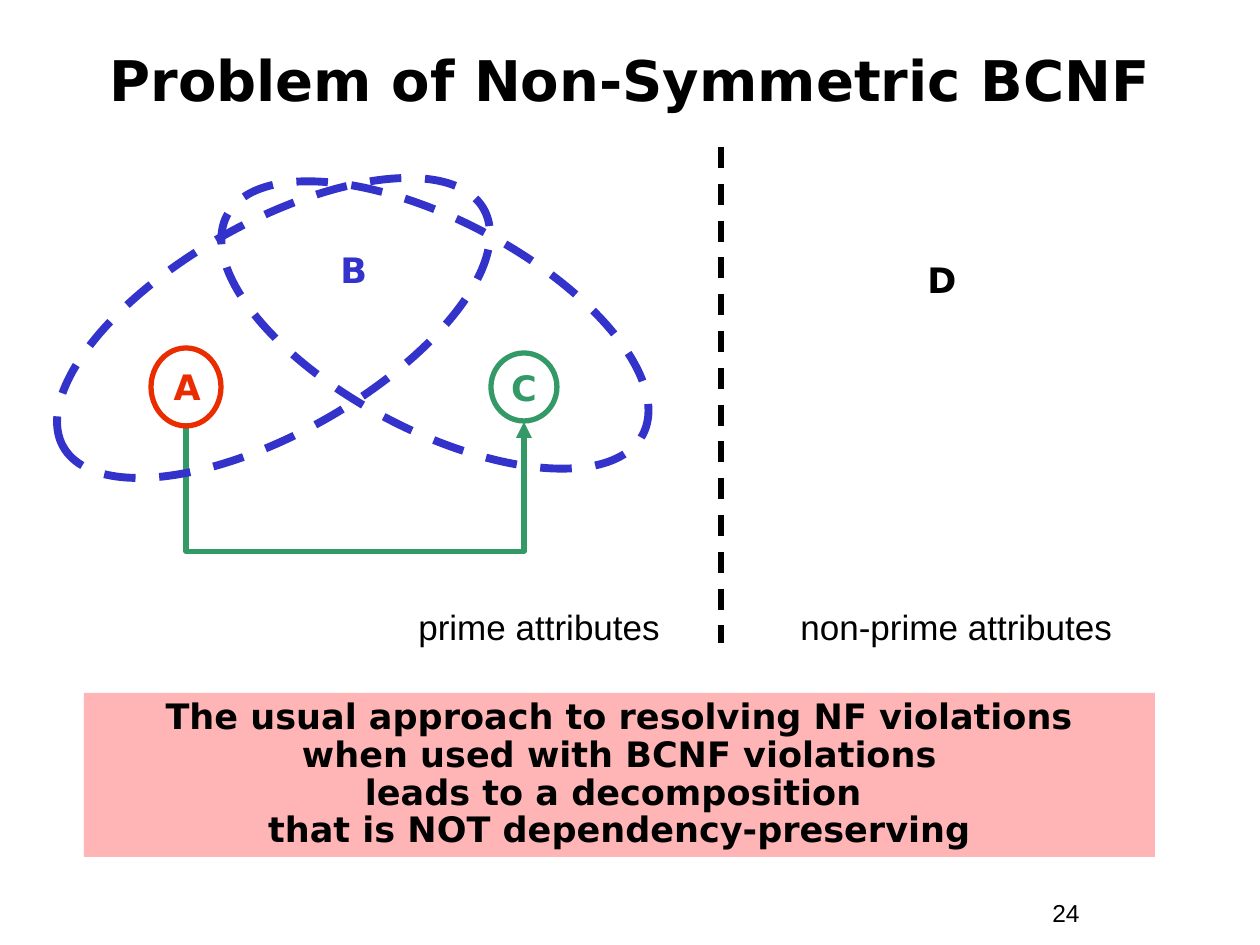
import dataclasses

import lxml.etree
import pptx
import pptx.dml.color
import pptx.enum.dml
import pptx.enum.shapes
import pptx.enum.text
import pptx.oxml.ns
import pptx.util

SHAPE = pptx.enum.shapes.MSO_SHAPE
CONNECTOR = pptx.enum.shapes.MSO_CONNECTOR
ALIGN = pptx.enum.text.PP_ALIGN
ANCHOR = pptx.enum.text.MSO_ANCHOR
GROW = pptx.enum.text.MSO_AUTO_SIZE.SHAPE_TO_FIT_TEXT
DASH = pptx.enum.dml.MSO_LINE.DASH


@dataclasses.dataclass(frozen=True)
class Theme:
    """Colours, fonts and type sizes of the slide."""

    ink: str = "000000"
    key: str = "3333CC"
    source: str = "EA2D00"
    target: str = "339966"
    banner: str = "FFB5B5"
    heading_font: str = "DejaVu Sans"
    label_font: str = "Arial"
    title_size: int = 32
    body_size: int = 20
    number_size: int = 14
    line_width: float = 3
    key_width: float = 4.5


THEME = Theme()


def px(length):
    """Turn pixels into EMU at 126 pixels to the inch."""
    return pptx.util.Emu(round(length * 914400 / 126))


def rgb(colour):
    """Turn a hex string into a colour."""
    return pptx.dml.color.RGBColor.from_string(colour)


def sub(parent, tag, **attributes):
    """Append a drawing element to a parent and return it."""
    return lxml.etree.SubElement(parent, pptx.oxml.ns.qn(tag), **attributes)


def write(holder, text, colour=THEME.ink, size=THEME.body_size, bold=True,
          align=ALIGN.LEFT, anchor=ANCHOR.TOP, wrap=False, spacing=None):
    """Write one paragraph into a shape or text box."""
    frame = holder.text_frame
    frame.text = text
    frame.word_wrap = wrap
    frame.vertical_anchor = anchor
    paragraph = frame.paragraphs[0]
    paragraph.alignment = align
    if spacing:
        paragraph.line_spacing = spacing
    font = paragraph.font
    font.name = THEME.heading_font if bold else THEME.label_font
    font.size = pptx.util.Pt(size)
    font.bold = bold
    font.color.rgb = rgb(colour)


def add_label(slide, box, text, **style):
    """Add a text box that grows with its text."""
    label = slide.shapes.add_textbox(*map(px, box))
    write(label, text, **style)
    label.text_frame.auto_size = GROW


def add_ellipse(slide, box, colour, width=THEME.line_width):
    """Add an unfilled ellipse."""
    ellipse = slide.shapes.add_shape(SHAPE.OVAL, *map(px, box))
    ellipse.shadow.inherit = False
    ellipse.fill.background()
    ellipse.line.color.rgb = rgb(colour)
    ellipse.line.width = pptx.util.Pt(width)
    return ellipse


def add_key(slide, box, rotation, flip=False):
    """Add the tilted dashed outline of a candidate key."""
    outline = add_ellipse(slide, box, THEME.key, THEME.key_width)
    outline.line.dash_style = DASH
    outline.rotation = rotation
    if flip:
        outline._element.spPr.xfrm.set("flipH", "1")


def add_line(slide, kind, start, end, colour):
    """Add a connector without a shadow."""
    line = slide.shapes.add_connector(kind, *map(px, (*start, *end)))
    line.line.color.rgb = rgb(colour)
    line.line.width = pptx.util.Pt(THEME.line_width)
    sub(line._element.spPr, "a:effectLst")
    return line


def add_dependency(slide, target, source, depth):
    """Add a U-shaped arrow that dips below both ends and points at the target."""
    (right, top), (left, bottom) = target, source
    width, height = bottom - top, right - left
    middle_x, middle_y = (left + right) / 2, (top + bottom) / 2
    arrow = add_line(slide, CONNECTOR.ELBOW,
                     (middle_x - width / 2, middle_y - height / 2),
                     (middle_x + width / 2, middle_y + height / 2),
                     THEME.target)
    properties = arrow._element.spPr
    properties.xfrm.set("rot", str(90 * 60000))
    sub(properties.prstGeom.get_or_add_avLst(), "a:gd", name="adj1",
        fmla=f"val {round(depth / width * 100000)}")
    sub(arrow.line._get_or_add_ln(), "a:headEnd", type="triangle")


def add_prime_region(slide, left, top):
    """Draw the overlapping keys, their attributes and the dependency."""
    add_dependency(slide, (left + 492, top + 275), (left + 154, top + 280), 129)
    add_key(slide, (left + 168, top + 73, 470, 210), 27.8, flip=True)
    c = add_ellipse(slide, (left + 459, top + 206, 66, 68), THEME.target)
    write(c, "C", THEME.target, align=ALIGN.CENTER, anchor=ANCHOR.MIDDLE)
    add_label(slide, (left + 296, top + 95, 48, 55), "B", colour=THEME.key)
    a = add_ellipse(slide, (left + 119, top + 201, 70, 78), THEME.source)
    write(a, "A", THEME.source)
    add_label(slide, (left + 374, top + 452, 267, 55), "prime attributes", bold=False)
    add_key(slide, (left, top + 76, 483, 210), 330.5)


def add_non_prime_region(slide, left, top):
    """Draw the dividing line and the attribute outside every key."""
    divider = add_line(slide, CONNECTOR.STRAIGHT, (left, top), (left, top + 496), THEME.ink)
    divider.line.dash_style = DASH
    add_label(slide, (left + 67, top + 452, 357, 55), "non-prime attributes",
              bold=False, wrap=True)
    add_label(slide, (left + 194, top + 105, 50, 55), "D")


def add_banner(slide, box):
    """Draw the conclusion on its coloured band."""
    banner = slide.shapes.add_shape(SHAPE.RECTANGLE, *map(px, box))
    banner.shadow.inherit = False
    banner.fill.solid()
    banner.fill.fore_color.rgb = rgb(THEME.banner)
    banner.line.fill.background()
    conclusion = ("The usual approach to resolving NF violations",
                  "when used with BCNF violations",
                  "leads to a decomposition ",
                  "that is NOT dependency-preserving")
    write(banner, "\v".join(conclusion), align=ALIGN.CENTER, wrap=True, spacing=0.9)


def main():
    """Build the slide and save it."""
    deck = pptx.Presentation()
    deck.slide_width, deck.slide_height = px(1260), px(945)
    slide = deck.slides.add_slide(deck.slide_layouts[6])
    add_label(slide, (1040, 892, 116, 43), "24", size=THEME.number_size,
              bold=False, wrap=True)
    title = slide.shapes.add_textbox(*map(px, (42, 42, 1176, 84)))
    write(title, "Problem of Non-Symmetric BCNF", size=THEME.title_size,
          align=ALIGN.CENTER, anchor=ANCHOR.MIDDLE, wrap=True, spacing=0.85)
    add_prime_region(slide, 32, 147)
    add_non_prime_region(slide, 721, 147)
    add_banner(slide, (84, 693, 1071, 164))
    deck.save("out.pptx")


if __name__ == "__main__":
    main()
